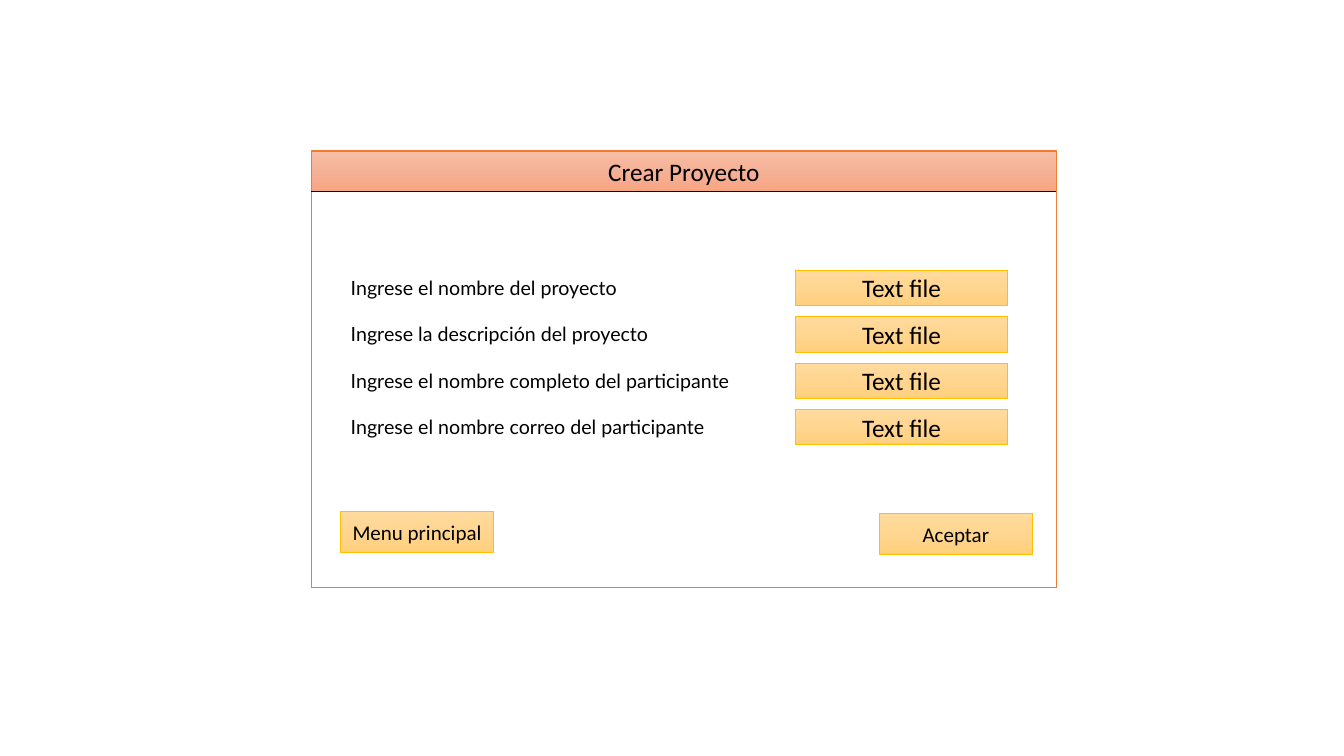
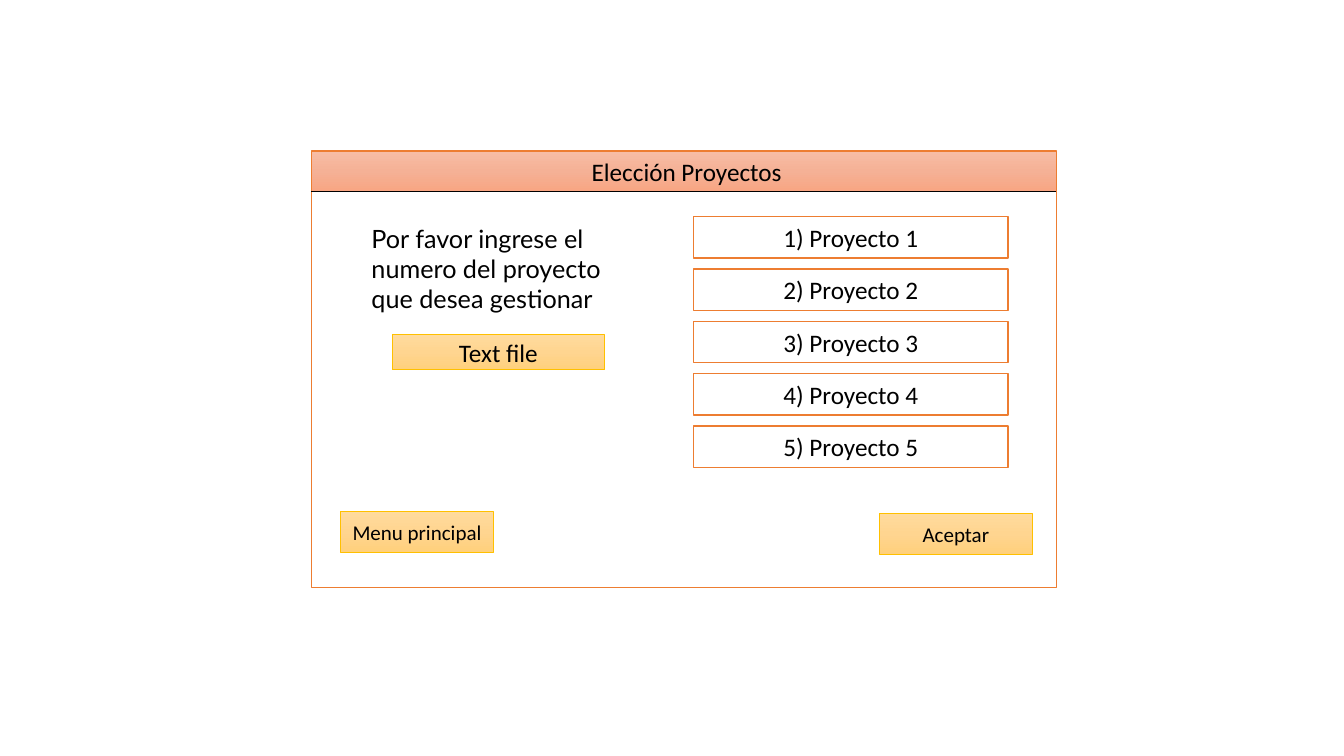
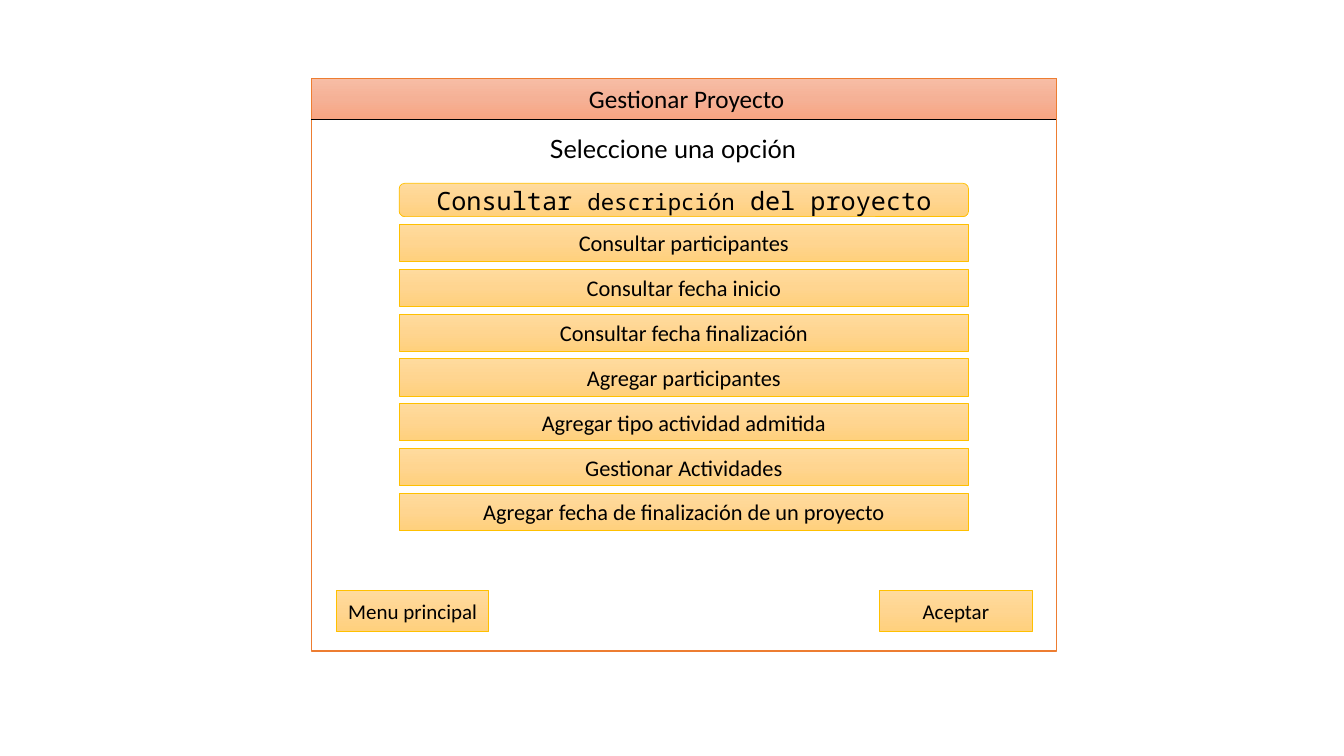
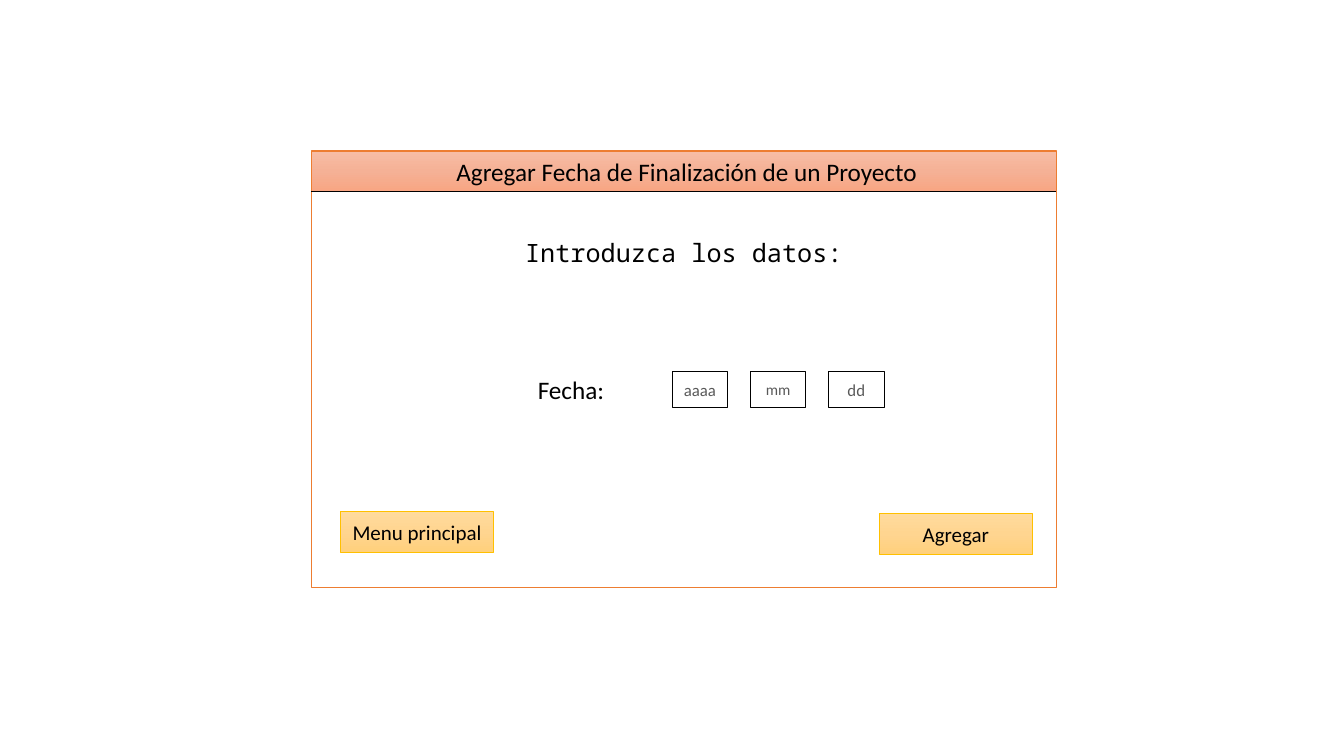
from copy import deepcopy

from lxml import etree
from pptx import Presentation
from pptx.dml.color import RGBColor
from pptx.enum.shapes import MSO_CONNECTOR, MSO_SHAPE
from pptx.enum.text import MSO_ANCHOR, MSO_AUTO_SIZE, PP_ALIGN
from pptx.oxml.ns import qn
from pptx.util import Cm, Pt

BLACK, GREY, WHITE = "000000", "595959", "FFFFFF"
ORANGE, GOLD = "ED7D31", "FFC000"
BAR_STOPS = ("F7BDA5", "F5B196", "F8A582")
BUTTON_STOPS = ("FFDB9E", "FFD590", "FFD07C")
SANS, LABEL_FONT, MONO = "Calibri", "Lato", "Noto Sans Mono"
WINDOW_LEFT, WINDOW_WIDTH, BAR_HEIGHT = 7.85, 18.77, 1.02
RECT, ROUNDED = MSO_SHAPE.RECTANGLE, MSO_SHAPE.ROUNDED_RECTANGLE


def rgb(value):
    return RGBColor.from_string(value)


def set_gradient(shape, colours):
    shape.fill.gradient()
    shape.fill.gradient_angle = 270
    stop_list = shape.element.spPr.find(".//" + qn("a:gsLst"))
    stop_list.append(deepcopy(stop_list[0]))
    for stop, position, colour in zip(shape.fill.gradient_stops, (0, 0.5, 1), colours):
        stop.position = position
        stop.color.rgb = rgb(colour)


def set_line(shape, colour, width):
    shape.line.color.rgb = rgb(colour)
    shape.line.width = Pt(width)


def write(shape, runs, font=SANS, colour=BLACK, align=PP_ALIGN.CENTER):
    frame = shape.text_frame
    frame.word_wrap = True
    frame.auto_size = MSO_AUTO_SIZE.NONE
    frame.vertical_anchor = MSO_ANCHOR.MIDDLE
    paragraph = frame.paragraphs[0]
    paragraph.alignment = align
    for text, size in runs:
        run = paragraph.add_run()
        run.text = text
        run.font.size = Pt(size)
        run.font.name = font
        run.font.color.rgb = rgb(colour)


def add_box(slide, box, kind=RECT, fill=None, line=None, width=1):
    shape = slide.shapes.add_shape(kind, *map(Cm, box))
    shape.shadow.inherit = False
    if fill:
        shape.fill.solid()
        shape.fill.fore_color.rgb = rgb(fill)
    else:
        shape.fill.background()
    if line:
        set_line(shape, line, width)
    else:
        shape.line.fill.background()
    return shape


def add_button(slide, box, runs, kind=RECT, font=SANS):
    button = add_box(slide, box, kind, line=GOLD, width=0.5)
    set_gradient(button, BUTTON_STOPS)
    write(button, runs, font)


def add_text_field(slide, left, top):
    add_button(slide, (left, top, 5.36, 0.89), [("Text file", 18)])


def add_prompt(slide, box, text, font=LABEL_FONT, align=PP_ALIGN.LEFT):
    write(add_box(slide, box, ROUNDED), [(text, 18)], font, align=align)


def add_label(slide, box, text, size, font, align):
    write(slide.shapes.add_textbox(*map(Cm, box)), [(text, size)], font, align=align)


def add_window(prs, title, action="Aceptar", top=3.81, height=11,
               menu=(8.59, 12.88), action_top=12.93):
    slide = prs.slides.add_slide(prs.slide_layouts[5])
    add_box(slide, (WINDOW_LEFT, top, WINDOW_WIDTH, height), fill=WHITE, line=ORANGE)

    bar = slide.shapes.title
    bar.left, bar.top, bar.width, bar.height = map(
        Cm, (WINDOW_LEFT, top, WINDOW_WIDTH, BAR_HEIGHT))
    set_gradient(bar, BAR_STOPS)
    set_line(bar, ORANGE, 0.5)
    write(bar, [(title, 18)])
    bar.element.getparent().append(bar.element)

    bottom = top + BAR_HEIGHT
    rule = slide.shapes.add_connector(
        MSO_CONNECTOR.STRAIGHT, Cm(WINDOW_LEFT), Cm(bottom),
        Cm(WINDOW_LEFT + WINDOW_WIDTH), Cm(bottom))
    set_line(rule, BLACK, 0.5)
    etree.SubElement(rule.element.spPr, qn("a:effectLst"))

    add_button(slide, (22.17, action_top, 3.84, 1.04), [(action, 15)])
    add_button(slide, (*menu, 3.84, 1.04), [("Menu principal", 15)])
    return slide


def build_create_project(prs):
    slide = add_window(prs, "Crear Proyecto")
    labels = (
        "Ingrese el nombre del proyecto",
        "Ingrese la descripción del proyecto",
        "Ingrese el nombre completo del participante",
        "Ingrese el nombre correo del participante",
    )
    for row, label in enumerate(labels):
        top = 6.81 + 1.17 * row
        add_label(slide, (8.59, top, 11.4, 0.86), label, 14, LABEL_FONT, PP_ALIGN.LEFT)
        add_text_field(slide, 20.04, top)


def build_choose_project(prs):
    slide = add_window(prs, " Elección Proyectos")
    add_text_field(slide, 9.88, 8.43)
    add_prompt(slide, (8.94, 4.98, 7.24, 3.56),
               "Por favor ingrese el numero del proyecto que desea gestionar")
    for number in range(1, 6):
        top = 5.46 + 1.32 * (number - 1)
        project = add_box(slide, (17.48, top, 7.92, 1.04), fill=WHITE, line=ORANGE)
        write(project, [(f"{number}) Proyecto {number}", 18)])


def build_manage_project(prs):
    slide = add_window(prs, " Gestionar Proyecto", top=1.98, height=14.43,
                       menu=(8.48, 14.88), action_top=14.88)
    add_prompt(slide, (13.54, 3, 7.42, 1.47), "Seleccione una opción")
    add_button(slide, (10.06, 4.62, 14.35, 0.84),
               [("Consultar ", 18), ("descripción", 16), (" del proyecto", 18)],
               ROUNDED, MONO)
    options = (
        "Consultar participantes",
        "Consultar fecha inicio",
        "Consultar fecha finalización",
        "Agregar participantes",
        "Agregar tipo actividad admitida",
        "Gestionar Actividades",
        "Agregar fecha de finalización de un proyecto",
    )
    for row, option in enumerate(options):
        add_button(slide, (10.06, 5.65 + 1.13 * row, 14.35, 0.94), [(option, 16)])


def build_add_end_date(prs):
    slide = add_window(prs, " Agregar Fecha de Finalización de un Proyecto", "Agregar")
    add_prompt(slide, (9.22, 5.74, 16.03, 1.24), "Introduzca los datos:",
               MONO, PP_ALIGN.CENTER)
    add_label(slide, (11.71, 9.37, 5.36, 0.89), "Fecha:", 18, SANS, PP_ALIGN.CENTER)
    for column, (hint, size) in enumerate((("aaaa", 12), ("mm", 11), ("dd", 12))):
        date_part = add_box(slide, (16.94 + 1.97 * column, 9.37, 1.4, 0.89),
                            line=BLACK, width=0.5)
        write(date_part, [(hint, size)], colour=GREY)


def main():
    prs = Presentation()
    prs.slide_width, prs.slide_height = Cm(33.87), Cm(19.05)
    build_create_project(prs)
    build_choose_project(prs)
    build_manage_project(prs)
    build_add_end_date(prs)
    prs.save("out.pptx")


main()
